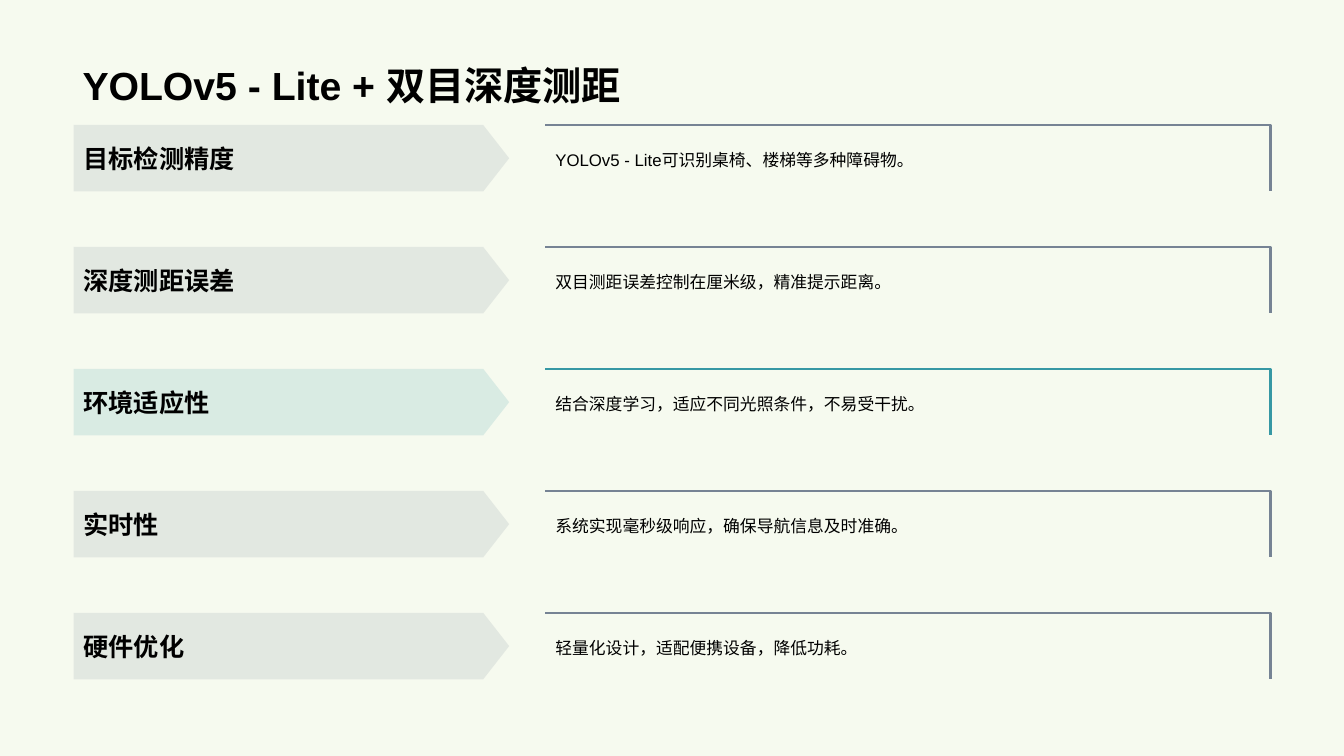
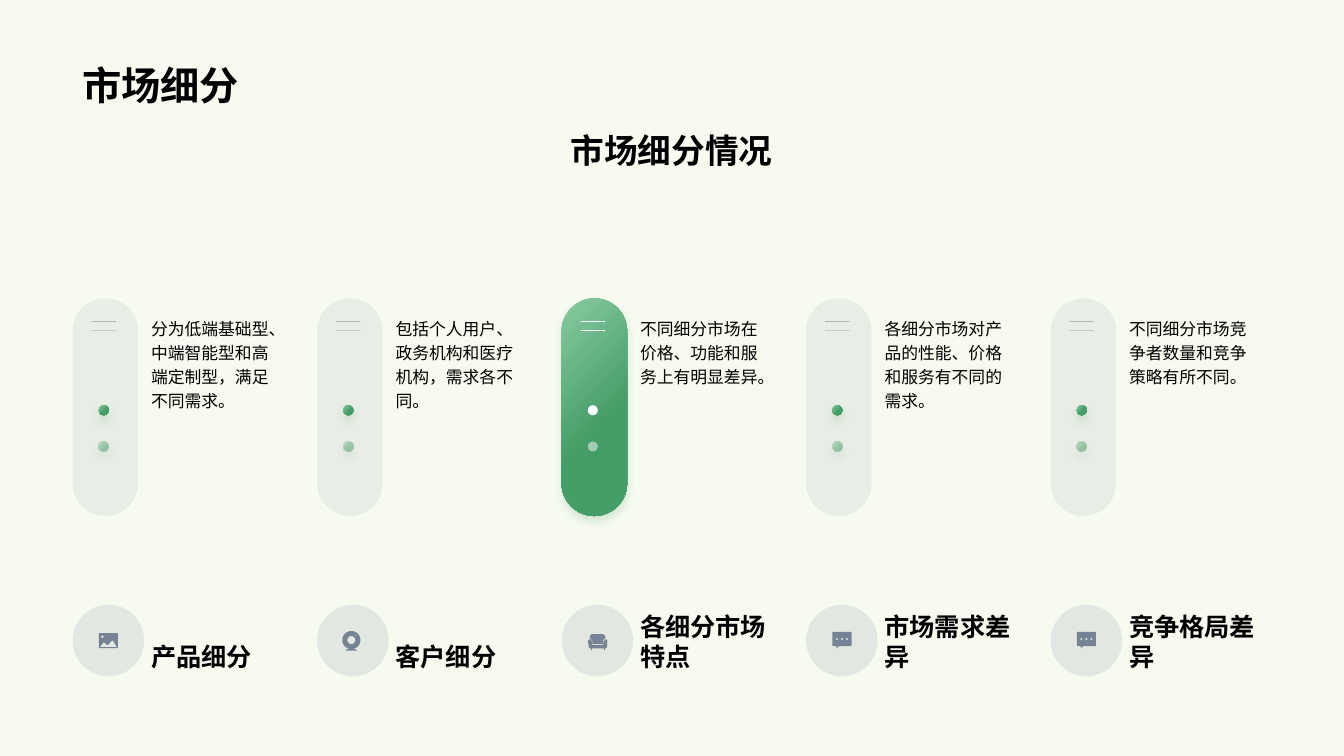
from dataclasses import dataclass
from math import cos, sin, radians

from lxml import etree
from pptx import Presentation
from pptx.dml.color import RGBColor as RGB
from pptx.enum.lang import MSO_LANGUAGE_ID as LANG
from pptx.enum.shapes import MSO_CONNECTOR as CONN, MSO_SHAPE as SHAPE
from pptx.enum.text import MSO_ANCHOR as ANCHOR, PP_ALIGN as ALIGN
from pptx.oxml.ns import qn
from pptx.util import Inches, Pt


@dataclass(frozen=True)
class Theme:
    """Colours, type sizes and margins shared by the slides."""
    paper: str = "F6FAEF"
    ink: str = "000000"
    slate: str = "768394"
    teal: str = "3698A4"
    mint: str = "89CBA2"
    green: str = "459D67"
    white: str = "FFFFFF"
    font: str = "Arial"
    title: int = 28
    subtitle: int = 24
    heading: int = 18
    body: int = 12
    left: float = 0.72
    width: float = 11.88


T = Theme()

FEATURES = [
    ("目标检测精度", "YOLOv5 - Lite可识别桌椅、楼梯等多种障碍物。", T.slate),
    ("深度测距误差", "双目测距误差控制在厘米级，精准提示距离。", T.slate),
    ("环境适应性", "结合深度学习，适应不同光照条件，不易受干扰。", T.teal),
    ("实时性", "系统实现毫秒级响应，确保导航信息及时准确。", T.slate),
    ("硬件优化", "轻量化设计，适配便携设备，降低功耗。", T.slate),
]


def rounded(x, y, w, h, r):
    """Return the outline of a rounded rectangle as points."""
    corners = [(x + w - r, y + h - r, 0), (x + r, y + h - r, 90),
               (x + r, y + r, 180), (x + w - r, y + r, 270)]
    return [(cx + r * cos(radians(start + step)), cy + r * sin(radians(start + step)))
            for cx, cy, start in corners for step in range(0, 91, 15)]


def disc(cx, cy, r):
    """Return the outline of a circle as points."""
    return rounded(cx - r, cy - r, 2 * r, 2 * r, r)


PHOTO = [
    rounded(26, 28, 19, 15, 1),
    [(27, 42), (30.5, 37.5), (31.5, 37.5), (34.5, 40), (35, 40),
     (39, 35.5), (40, 35.5), (44, 42)],
    disc(29.5, 31.7, 1.3),
]
WEBCAM = [
    disc(34, 35, 9),
    disc(34, 35, 4),
    disc(38.5, 30.5, 0.6),
    [(30, 44), (38, 44), (40, 45.5), (28, 45.5)],
]
SOFA = [
    [(28, 34), (30, 36), (30.5, 40), (41, 40), (42, 36), (44, 34), (45.5, 36),
     (45, 42), (44, 43.2), (43, 43.2), (43, 45), (42, 45), (42, 43.2), (30, 43.2),
     (30, 45), (29, 45), (29, 43.2), (28, 43.2), (27, 42), (26, 36)],
    [(30, 29), (41, 29), (43.5, 31), (43.5, 33), (41.2, 35), (41, 39), (31, 39),
     (30.2, 35), (28, 33), (28, 31)],
]
CHAT = [
    rounded(26, 27, 19, 14, 1),
    [(30, 41), (33, 41), (30, 43)],
    *[disc(x, 34, 1) for x in (30.5, 35.5, 40.5)],
]

SEGMENTS = [
    ("产品细分", "分为低端基础型、中端智能型和高端定制型，满足不同需求。", PHOTO, False),
    ("客户细分", "包括个人用户、政务机构和医疗机构，需求各不同。", WEBCAM, False),
    ("各细分市场特点", "不同细分市场在价格、功能和服务上有明显差异。", SOFA, True),
    ("市场需求差异", "各细分市场对产品的性能、价格和服务有不同的需求。", CHAT, False),
    ("竞争格局差异", "不同细分市场竞争者数量和竞争策略有所不同。", CHAT, False),
]


def write(sp, text, size=T.body, bold=False, align=ALIGN.LEFT,
          anchor=ANCHOR.TOP, spacing=None):
    """Fill a shape with one formatted paragraph."""
    tf = sp.text_frame
    tf.word_wrap = True
    tf.vertical_anchor = anchor
    p = tf.paragraphs[0]
    p.alignment = align
    p.line_spacing = spacing
    r = p.add_run()
    r.text = text
    f = r.font
    f.name, f.size, f.bold = T.font, Pt(size), bold
    f.color.rgb = RGB.from_string(T.ink)
    f.language_id = LANG.SIMPLIFIED_CHINESE
    etree.SubElement(r._r.rPr, qn("a:ea"), typeface=T.font)


def add_label(s, box, text, **fmt):
    """Add a text box."""
    write(s.shapes.add_textbox(*map(Inches, box)), text, **fmt)


def set_alpha(sp, percent):
    """Make every colour set so far on a shape translucent."""
    for color in sp._element.spPr.iter(qn("a:srgbClr")):
        etree.SubElement(color, qn("a:alpha"), val=str(percent * 1000))


def add_glow(sp):
    """Give a shape a soft green shadow below it."""
    effects = sp._element.spPr.find(qn("a:effectLst"))
    shadow = etree.SubElement(effects, qn("a:outerShdw"), blurRad=str(Pt(6)),
                              dist=str(Pt(4)), dir="5400000", rotWithShape="0")
    color = etree.SubElement(shadow, qn("a:srgbClr"), val=T.green)
    etree.SubElement(color, qn("a:alpha"), val="20000")


def add_filled(s, kind, box, color=None, alpha=100, adj=None, glow=False):
    """Add an unlined shape, with the green gradient when no colour is given."""
    sp = s.shapes.add_shape(kind, *map(Inches, box))
    sp.shadow.inherit = False
    sp.line.fill.background()
    if adj is not None:
        sp.adjustments[0] = adj
    if color:
        sp.fill.solid()
        sp.fill.fore_color.rgb = RGB.from_string(color)
    else:
        sp.fill.gradient()
        sp.fill.gradient_angle = 315
        for stop, pos, tone in zip(sp.fill.gradient_stops, (0, 0.6), (T.mint, T.green)):
            stop.position = pos
            stop.color.rgb = RGB.from_string(tone)
    if alpha < 100:
        set_alpha(sp, alpha)
    if glow:
        add_glow(sp)
    return sp


def add_rule(s, x, y, length, color, alpha):
    """Add a thin horizontal line."""
    line = s.shapes.add_connector(CONN.STRAIGHT, *map(Inches, (x, y, x + length, y)))
    line.line.color.rgb = RGB.from_string(color)
    line.line.width = Pt(0.5)
    set_alpha(line, alpha)
    etree.SubElement(line._element.spPr, qn("a:effectLst"))


def add_outline(s, x, y, contours, close=True):
    """Add a freeform from contours given in hundredths of an inch."""
    placed = [[(Inches(x + px / 100), Inches(y + py / 100)) for px, py in contour]
              for contour in contours]
    builder = s.shapes.build_freeform(*placed[0][0])
    for i, contour in enumerate(placed):
        if i:
            builder.move_to(*contour[0])
        builder.add_line_segments(contour[1:], close=close)
    sp = builder.convert_to_shape()
    sp.shadow.inherit = False
    return sp


def add_slide(prs, title):
    """Add a blank slide with its title."""
    s = prs.slides.add_slide(prs.slide_layouts[6])
    add_label(s, (T.left, 0.14, T.width, 0.98), title, size=T.title, bold=True,
              anchor=ANCHOR.BOTTOM)
    return s


def add_feature(s, x, y, w, h, name, detail, color):
    """Add an arrow label and its bracketed explanation."""
    arrow = add_filled(s, SHAPE.PENTAGON, (x, y, 4.32, h), color, alpha=15, adj=0.39)
    write(arrow, name, size=T.heading, bold=True, anchor=ANCHOR.MIDDLE)
    span = w - 4.68
    corner = [(0, 0), (span * 100, 0), (span * 100, h * 100)]
    bracket = add_outline(s, x + 4.68, y, [corner], close=False)
    bracket.fill.background()
    bracket.line.color.rgb = RGB.from_string(color)
    bracket.line.width = Pt(1.75)
    write(bracket, detail, anchor=ANCHOR.MIDDLE, spacing=1.2)


def add_pill(s, x, y, active):
    """Add a rounded bar with two rules and two dots."""
    color, alpha = (None, 100) if active else (T.slate, 10)
    add_filled(s, SHAPE.ROUNDED_RECTANGLE, (x, y, 0.65, 2.16), color, alpha,
               adj=0.5, glow=active)
    rule, rule_alpha = (T.white, 100) if active else (T.slate, 50)
    for dy in (0.23, 0.32):
        add_rule(s, x + 0.19, y + dy, 0.24, rule, rule_alpha)
    for dy, dot_alpha in ((1.06, 100), (1.42, 50)):
        add_filled(s, SHAPE.OVAL, (x + 0.26, y + dy, 0.1, 0.1),
                   T.white if active else None, dot_alpha, glow=True)


def add_badge(s, x, y, icon):
    """Add a pale disc with an icon."""
    add_filled(s, SHAPE.OVAL, (x, y, 0.71, 0.71), T.slate, alpha=15)
    sp = add_outline(s, x, y, icon)
    sp.fill.solid()
    sp.fill.fore_color.rgb = RGB.from_string(T.slate)
    sp.line.fill.background()


def add_segment(s, x, y, name, detail, icon, active):
    """Add one market segment column."""
    add_pill(s, x, y, active)
    add_label(s, (x + 0.68, y + 0.11, 1.5, 1.84), detail, spacing=1.2)
    add_badge(s, x, y + 3.04, icon)
    add_label(s, (x + 0.68, y + 3.04, 1.5, 0.71), name, size=T.heading, bold=True,
              anchor=ANCHOR.BOTTOM)


def build_features(prs):
    """Build the slide of feature rows."""
    s = add_slide(prs, "YOLOv5 - Lite + 双目深度测距")
    for i, feature in enumerate(FEATURES):
        add_feature(s, 0.73, 1.24 + 1.21 * i, 11.87, 0.66, *feature)


def build_segments(prs):
    """Build the slide of segment columns."""
    s = add_slide(prs, "市场细分")
    add_label(s, (T.left, 1.24, T.width, 0.76), "市场细分情况", size=T.subtitle,
              bold=True, align=ALIGN.CENTER)
    pitch = (T.width - 2.18) / (len(SEGMENTS) - 1)
    for i, segment in enumerate(SEGMENTS):
        add_segment(s, T.left + pitch * i, 2.96, *segment)


def main():
    """Build and save the presentation."""
    prs = Presentation()
    prs.slide_width, prs.slide_height = Inches(13.33), Inches(7.5)
    paper = prs.slide_master.background.fill
    paper.solid()
    paper.fore_color.rgb = RGB.from_string(T.paper)
    build_features(prs)
    build_segments(prs)
    prs.save("out.pptx")


if __name__ == "__main__":
    main()
